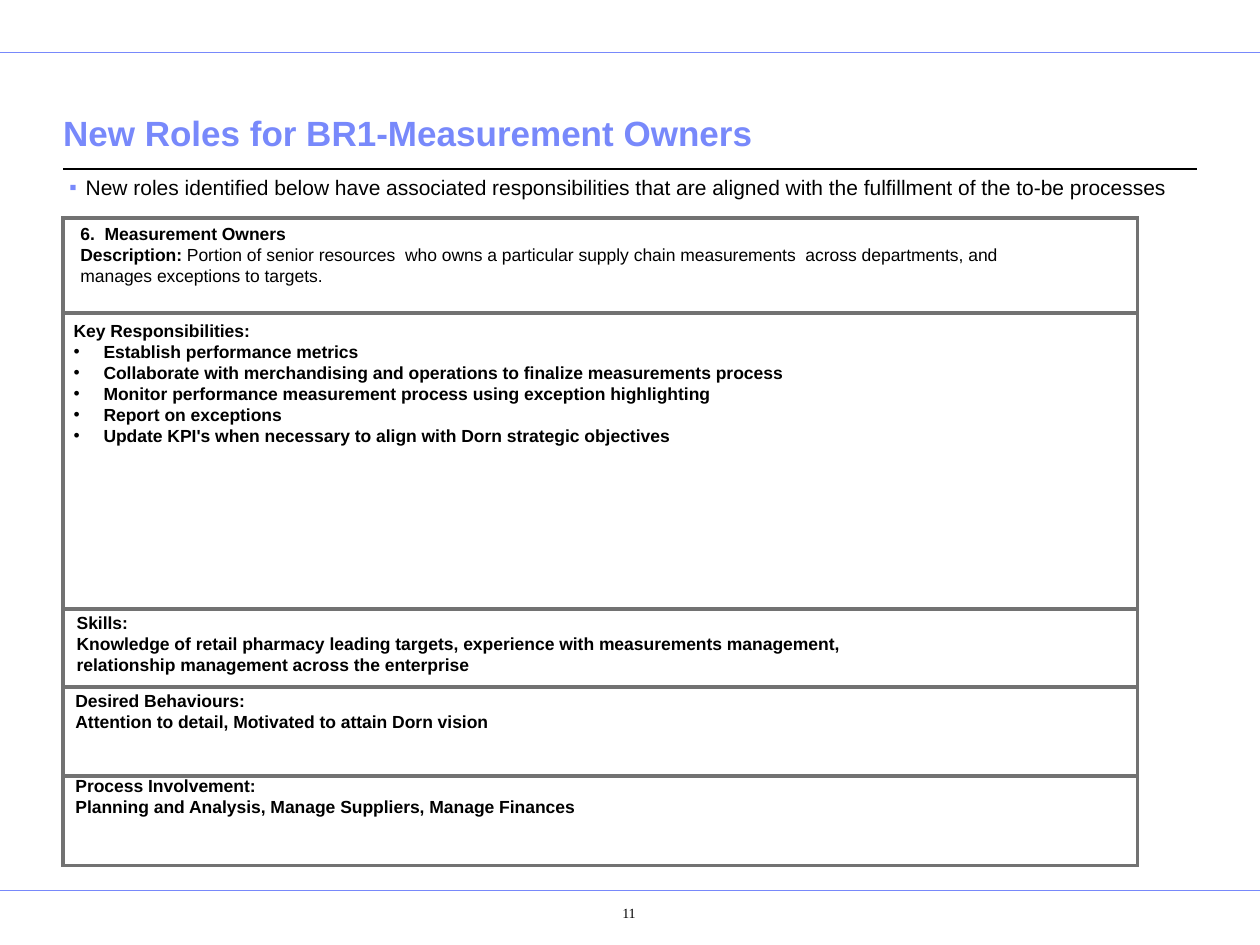
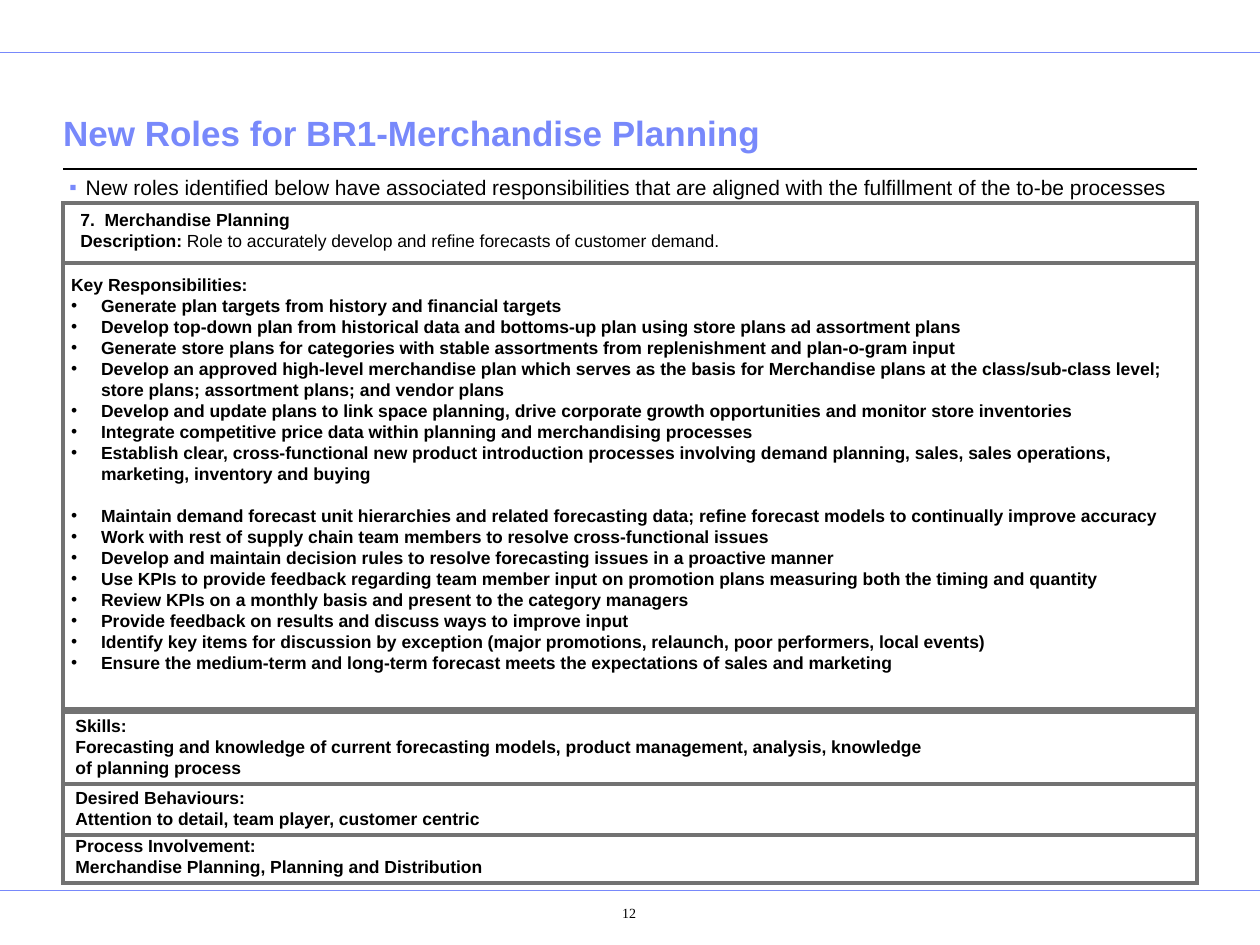
from lxml import etree
from pptx import Presentation
from pptx.dml.color import RGBColor
from pptx.enum.shapes import MSO_CONNECTOR, MSO_SHAPE
from pptx.enum.text import MSO_ANCHOR, MSO_AUTO_SIZE, PP_ALIGN
from pptx.oxml.ns import qn
from pptx.util import Pt

STRAIGHT = MSO_CONNECTOR.STRAIGHT
RECTANGLE = MSO_SHAPE.RECTANGLE
LEFT, CENTER = PP_ALIGN.LEFT, PP_ALIGN.CENTER
TOP, BOTTOM = MSO_ANCHOR.TOP, MSO_ANCHOR.BOTTOM
NO_FIT = MSO_AUTO_SIZE.NONE

COLORS = {"accent": "7889FB", "text": "000000", "frame": "727272"}
SLIDE_SIZE = (720, 540)
FRAME_LEFT = 36
LINE_HEIGHT = 12
INTRO = (
    "New roles identified below have associated responsibilities that are "
    "aligned with the fulfillment of the to-be processes"
)
RULES = [
    (0, 720, 30.25, "accent", 0.5),
    (0, 720, 509, "accent", 0.5),
    (36, 684, 96.5, "text", 0.75),
]

ROLES = [
    {
        "title": "New Roles for BR1-Measurement Owners",
        "page": "11",
        "name": "6.  Measurement Owners",
        "description": "Portion of senior resources  who owns a particular supply chain "
                       "measurements  across departments, and manages exceptions to targets.",
        "responsibilities": [[
            "Establish performance metrics",
            "Collaborate with merchandising and operations to finalize measurements process",
            "Monitor performance measurement process using exception highlighting",
            "Report on exceptions",
            "Update KPI's when necessary to align with Dorn strategic objectives",
        ]],
        "skills": "Knowledge of retail pharmacy leading targets, experience with measurements "
                  "management, relationship management across the enterprise",
        "behaviours": "Attention to detail, Motivated to attain Dorn vision",
        "processes": "Planning and Analysis, Manage Suppliers, Manage Finances",
        "frame_width": 614,
        "frames": [(124.5, 54.5), (179, 168.8), (347.8, 44.6), (392.4, 51.1), (443.5, 51.1)],
        "texts": [(38.9, 123.8, 551), (35, 179.3, 615), (36.7, 346, 505),
                  (36, 391, 500), (36, 439.6, 613)],
    },
    {
        "title": "New Roles for BR1-Merchandise Planning",
        "page": "12",
        "name": "7.  Merchandise Planning",
        "description": "Role to accurately develop and refine forecasts of customer demand.",
        "responsibilities": [
            [
                "Generate plan targets from history and financial targets",
                "Develop top-down plan from historical data and bottoms-up plan using store "
                "plans ad assortment plans",
                "Generate store plans for categories with stable assortments from "
                "replenishment and plan-o-gram input",
                "Develop an approved high-level merchandise plan which serves as the basis for "
                "Merchandise plans at the class/sub-class level; store plans; assortment "
                "plans; and vendor plans",
                "Develop and update plans to link space planning, drive corporate growth "
                "opportunities and monitor store inventories",
                "Integrate competitive price data within planning and merchandising processes",
                "Establish clear, cross-functional new product introduction processes involving "
                "demand planning, sales, sales operations, marketing, inventory and buying",
            ],
            [
                "Maintain demand forecast unit hierarchies and related forecasting data; refine "
                "forecast models to continually improve accuracy",
                "Work with rest of supply chain team members to resolve cross-functional issues",
                "Develop and maintain decision rules to resolve forecasting issues in a "
                "proactive manner",
                "Use KPIs to provide feedback regarding team member input on promotion plans "
                "measuring both the timing and quantity",
                "Review KPIs on a monthly basis and present to the category managers",
                "Provide feedback on results and discuss ways to improve input",
                "Identify key items for discussion by exception (major promotions, relaunch, "
                "poor performers, local events)",
                "Ensure the medium-term and long-term forecast meets the expectations of sales "
                "and marketing",
            ],
        ],
        "skills": "Forecasting and knowledge of current forecasting models, product management, "
                  "analysis, knowledge of planning process",
        "behaviours": "Attention to detail, team player, customer centric",
        "processes": "Merchandise Planning, Planning and Distribution",
        "frame_width": 648,
        "frames": [(115.9, 34.6), (150.5, 254.9), (406.8, 41), (447.8, 29.6), (477.4, 27.3)],
        "texts": [(38.9, 115.9, 551), (33.6, 153, 649), (36, 405, 505),
                  (36, 446.1, 500), (36, 473.8, 613)],
    },
]


def rgb(color):
    return RGBColor.from_string(COLORS[color])


def write(frame, text, plain="", size=10, color="text", font="Arial", bold=True, align=LEFT,
          bullet=None, bullet_color="text", indent=17.1, before=0, spacing=Pt(LINE_HEIGHT)):
    paragraph = frame.paragraphs[-1]
    if paragraph.runs:
        paragraph = frame.add_paragraph()
    if bullet:
        properties = paragraph._p.get_or_add_pPr()
        properties.set("marL", str(Pt(indent)))
        properties.set("indent", str(-Pt(indent)))
        tint = etree.SubElement(properties, qn("a:buClr"))
        etree.SubElement(tint, qn("a:srgbClr"), val=COLORS[bullet_color])
        etree.SubElement(properties, qn("a:buFont"), typeface=font)
        etree.SubElement(properties, qn("a:buChar"), char=bullet)
    paragraph.alignment = align
    paragraph.line_spacing = spacing
    if before:
        paragraph.space_before = Pt(before)
    for words, weight in ((text, bold), (plain, False)):
        if words:
            run = paragraph.add_run()
            run.text = words
            run.font.size = Pt(size)
            run.font.name = font
            run.font.bold = weight
            run.font.color.rgb = rgb(color)


def prepare(frame, margins, anchor=TOP):
    frame.word_wrap = True
    frame.auto_size = NO_FIT
    frame.vertical_anchor = anchor
    (frame.margin_left, frame.margin_top,
     frame.margin_right, frame.margin_bottom) = map(Pt, margins)
    return frame


def add_text_area(slide, left, top, width, height, margins=(7.2, 3.6, 7.2, 3.6)):
    box = slide.shapes.add_textbox(Pt(left), Pt(top), Pt(width), Pt(height))
    return prepare(box.text_frame, margins)


def add_rule(slide, start, end, y, color, weight):
    rule = slide.shapes.add_connector(STRAIGHT, Pt(start), Pt(y), Pt(end), Pt(y))
    rule.line.color.rgb = rgb(color)
    rule.line.width = Pt(weight)
    etree.SubElement(rule._element.spPr, qn("a:effectLst"))


def add_frame(slide, top, width, height):
    frame = slide.shapes.add_shape(RECTANGLE, Pt(FRAME_LEFT), Pt(top), Pt(width), Pt(height))
    frame.shadow.inherit = False
    frame.fill.background()
    frame.line.color.rgb = rgb("frame")
    frame.line.width = Pt(2.25)
    outline = frame._element.spPr.find(qn("a:ln"))
    etree.SubElement(outline, qn("a:miter"), lim="800000")


def add_shared_parts(slide, role):
    for rule in RULES:
        add_rule(slide, *rule)
    title = slide.shapes.title
    title.left, title.top, title.width, title.height = map(Pt, (36, 46, 648, 45.4))
    write(prepare(title.text_frame, (0, 3.6, 0, 3.6), BOTTOM), role["title"],
          size=20, color="accent", spacing=1.0)
    write(add_text_area(slide, 36, 95.6, 648, 20, (3.6, 3.6, 3.6, 0)), INTRO,
          size=12, bold=False, bullet="▪", bullet_color="accent", indent=9.4, spacing=1.04)
    write(add_text_area(slide, 307.4, 512, 82.4, 25, (28.8, 5, 7.2, 3.6)), role["page"],
          size=8, font="Times New Roman", bold=False, align=CENTER, spacing=1.0)


def add_role(slide, role):
    for top, height in role["frames"]:
        add_frame(slide, top, role["frame_width"], height)
    summary, duties, *details = [
        add_text_area(slide, *place, height)
        for place, (_, height) in zip(role["texts"], role["frames"])
    ]
    write(summary, role["name"])
    write(summary, "Description: ", plain=role["description"])
    write(duties, "Key Responsibilities:")
    for group_number, group in enumerate(role["responsibilities"]):
        for duty_number, duty in enumerate(group):
            opens_later_group = group_number > 0 and duty_number == 0
            write(duties, duty, bullet="•", before=LINE_HEIGHT if opens_later_group else 0)
    headings = {"skills": "Skills:", "behaviours": "Desired Behaviours:",
                "processes": "Process Involvement:"}
    for area, (key, heading) in zip(details, headings.items()):
        write(area, heading)
        write(area, role[key])


def main():
    deck = Presentation()
    deck.slide_width, deck.slide_height = map(Pt, SLIDE_SIZE)
    title_only = deck.slide_layouts[5]
    for role in ROLES:
        slide = deck.slides.add_slide(title_only)
        add_shared_parts(slide, role)
        add_role(slide, role)
    deck.save("out.pptx")


if __name__ == "__main__":
    main()
